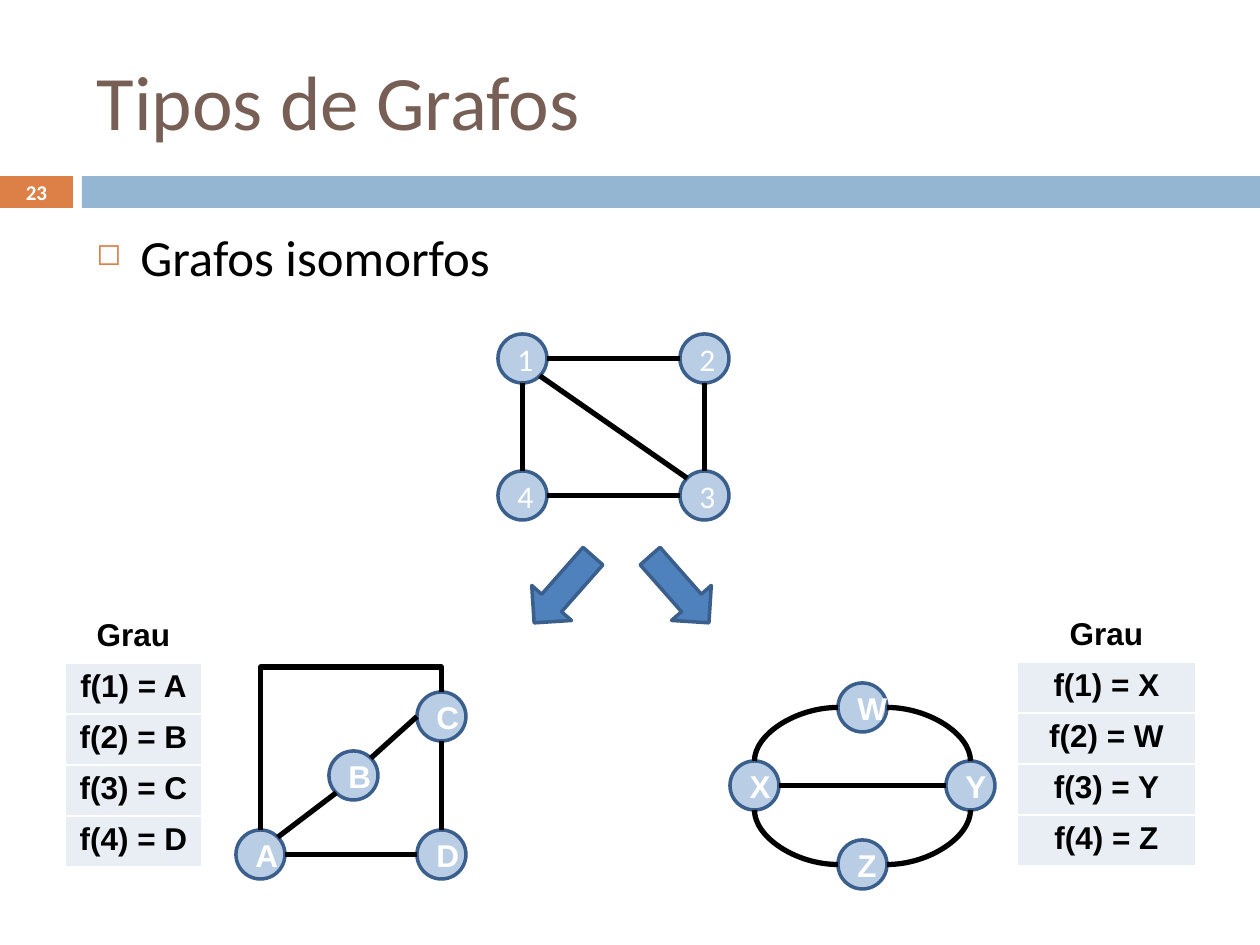
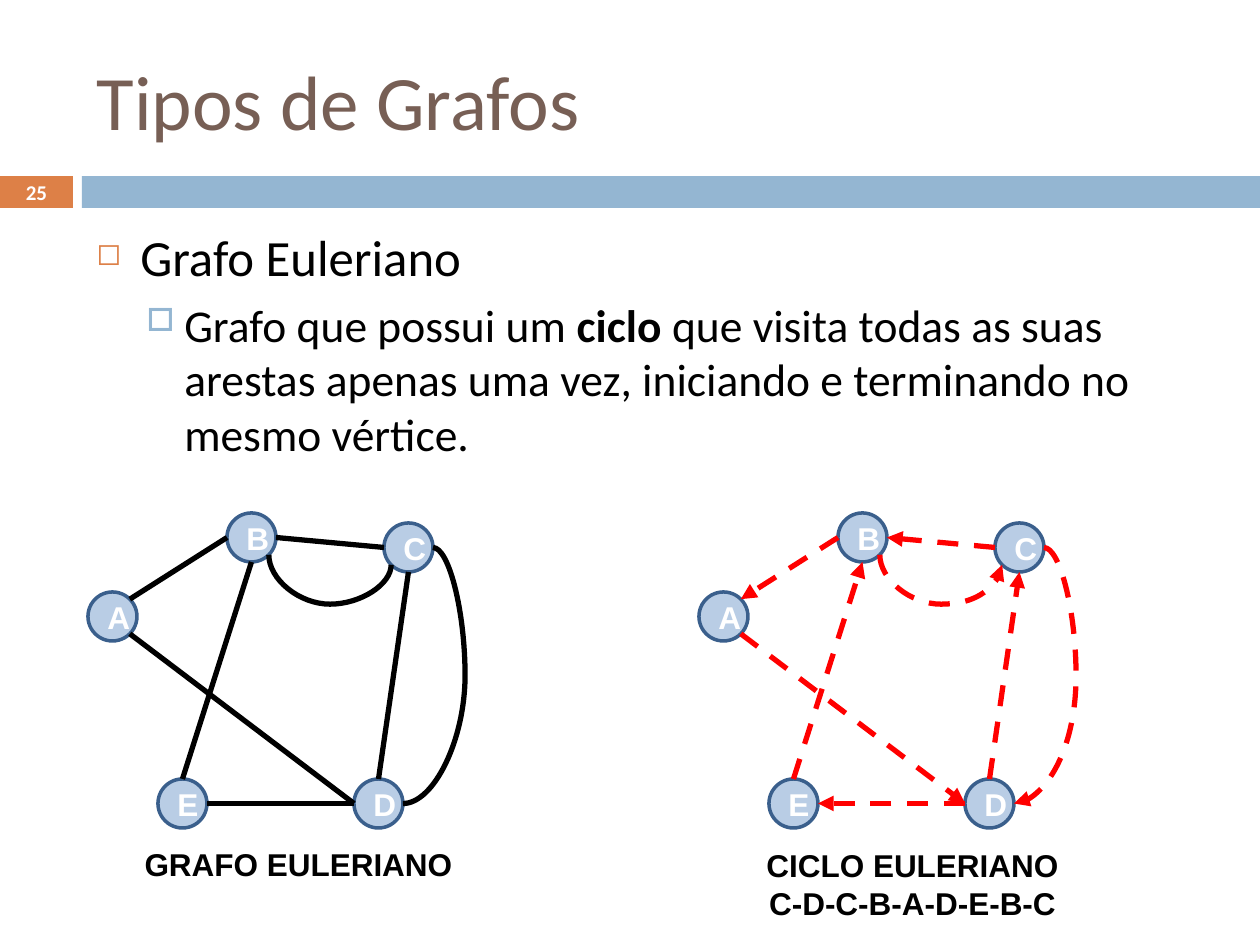
from math import cos, radians, sin

from lxml import etree
from pptx import Presentation
from pptx.dml.color import RGBColor
from pptx.enum.dml import MSO_LINE
from pptx.enum.shapes import MSO_CONNECTOR, MSO_SHAPE
from pptx.enum.text import MSO_ANCHOR, PP_ALIGN
from pptx.oxml.ns import qn
from pptx.util import Pt

EMU_PER_PX = 914400 / 126
SLIDE_SIZE = (1260, 945)
NODE_SIZE = 49

BLACK = RGBColor(0x00, 0x00, 0x00)
WHITE = RGBColor(0xFF, 0xFF, 0xFF)
RED = RGBColor(0xFF, 0x00, 0x00)
BROWN = RGBColor(0x77, 0x5F, 0x55)
ORANGE = RGBColor(0xDD, 0x80, 0x47)
BAND_BLUE = RGBColor(0x94, 0xB6, 0xD2)
NODE_FILL = RGBColor(0xB9, 0xCD, 0xE5)
OUTLINE = RGBColor(0x3A, 0x5F, 0x8C)
ARROW_FILL = RGBColor(0x4F, 0x81, 0xBD)
CELL_FILL = RGBColor(0xE9, 0xED, 0xF4)

HEADING_FONT = "Calibri"
GRAPH_FONT = "Arial"
CENTER, LEFT, MIDDLE = PP_ALIGN.CENTER, PP_ALIGN.LEFT, MSO_ANCHOR.MIDDLE
RECTANGLE, OVAL, RIGHT_ARROW = MSO_SHAPE.RECTANGLE, MSO_SHAPE.OVAL, MSO_SHAPE.RIGHT_ARROW
STRAIGHT, CURVE, ELBOW = MSO_CONNECTOR.STRAIGHT, MSO_CONNECTOR.CURVE, MSO_CONNECTOR.ELBOW
DASH = MSO_LINE.DASH

SITES = ["top", "top left", "left", "bottom left",
         "bottom", "bottom right", "right", "top right"]

BULLETS = [
    {"char": "◻", "color": ORANGE, "percent": 60, "margin": 44, "hanging": 44, "size": 29},
    {"char": "□", "color": BAND_BLUE, "percent": 70, "margin": 88, "hanging": 38, "size": 26},
]

SQUARE_NODES = {"1": (0, 0), "2": (182, 0), "3": (182, 137), "4": (0, 137)}
SQUARE_EDGES = [
    ("1", "right", "2", "left"), ("2", "bottom", "3", "top"),
    ("4", "right", "3", "left"), ("1", "bottom", "4", "top"),
    ("1", "bottom right", "3", "top left"),
]
BENT_NODES = {"A": (0, 138), "B": (93, 59), "C": (181, 0), "D": (181, 138)}
BENT_EDGES = [
    ("A", "top right", "B", "bottom left"), ("B", "top right", "C", "left"),
    ("C", "bottom", "D", "top"), ("A", "right", "D", "left"),
    ("A", "top", "C", "top", ELBOW, "bentConnector3", 1.18, True),
]
OVAL_NODES = {"X": (0, 78), "W": (108, 0), "Y": (216, 78), "Z": (108, 157)}
OVAL_EDGES = [
    ("W", "right", "Y", "top", CURVE, "curvedConnector2"),
    ("Z", "right", "Y", "bottom", CURVE, "curvedConnector2"),
    ("W", "left", "X", "top", CURVE, "curvedConnector2"),
    ("Z", "left", "X", "bottom", CURVE, "curvedConnector2"),
    ("X", "right", "Y", "left"),
]
EULER_NODES = {"A": (0, 79), "B": (139, 0), "C": (296, 10), "D": (266, 266), "E": (70, 266)}
EULER_EDGES = [
    ("B", "left", "A", "top right"), ("D", "left", "E", "right"),
    ("E", "top", "B", "bottom"), ("A", "bottom right", "D", "left"),
    ("D", "top", "C", "bottom"), ("C", "left", "B", "right"),
    ("C", "right", "D", "right", CURVE, "curvedConnector3", -1.07),
    ("B", "bottom right", "C", "bottom left", CURVE, "curvedConnector3", 4.93, True),
]


def px(*lengths):
    """Turn lengths in px into a list of EMU."""
    return [round(length * EMU_PER_PX) for length in lengths]


def add_run(paragraph, text, size, color, font=GRAPH_FONT, bold=False):
    """Add one formatted run to a paragraph."""
    run = paragraph.add_run()
    run.text = text
    run.font.size = Pt(size)
    run.font.name = font
    run.font.bold = bold
    run.font.color.rgb = color


def add_filled_shape(slide, kind, box, fill, outline=None):
    """Add a flat preset shape in the given box."""
    shape = slide.shapes.add_shape(kind, *px(*box))
    shape.shadow.inherit = False
    shape.fill.solid()
    shape.fill.fore_color.rgb = fill
    if outline:
        shape.line.color.rgb = outline
        shape.line.width = Pt(2)
    else:
        shape.line.fill.background()
    return shape


def add_frame(presentation, number):
    """Add a slide with its title, bands and page number."""
    slide = presentation.slides.add_slide(presentation.slide_layouts[5])
    add_filled_shape(slide, RECTANGLE, (82, 176, 1178, 32), BAND_BLUE)
    page_band = add_filled_shape(slide, RECTANGLE, (0, 176, 73, 32), ORANGE)
    page_band.text_frame.vertical_anchor = MIDDLE
    paragraph = page_band.text_frame.paragraphs[0]
    paragraph.alignment = CENTER
    add_run(paragraph, number, 12, WHITE, HEADING_FONT, True)

    title = slide.shapes.title
    title.left, title.top, title.width, title.height = px(84, 32, 1124, 136)
    title.text_frame.vertical_anchor = MIDDLE
    paragraph = title.text_frame.paragraphs[0]
    paragraph.alignment = LEFT
    add_run(paragraph, "Tipos de Grafos", 44, BROWN, HEADING_FONT)
    return slide


def add_bullets(slide, box, items):
    """Add bulleted paragraphs from (level, [(text, bold)]) items."""
    frame = slide.shapes.add_textbox(*px(*box)).text_frame
    frame.word_wrap = True
    for index, (level, runs) in enumerate(items):
        paragraph = frame.add_paragraph() if index else frame.paragraphs[0]
        style = BULLETS[level]
        properties = paragraph._p.get_or_add_pPr()
        margin, hanging = px(style["margin"], style["hanging"])
        properties.set("marL", str(margin))
        properties.set("indent", str(-hanging))
        color = etree.SubElement(properties, qn("a:buClr"))
        etree.SubElement(color, qn("a:srgbClr"), val=str(style["color"]))
        etree.SubElement(properties, qn("a:buSzPct"), val=str(style["percent"] * 1000))
        etree.SubElement(properties, qn("a:buChar"), char=style["char"])
        if index:
            paragraph.space_before = Pt(5.5)
        for text, bold in runs:
            add_run(paragraph, text, style["size"], BLACK, HEADING_FONT, bold)


def add_node(slide, left, top, label, font, bold):
    """Add one labelled vertex."""
    box = (left, top, NODE_SIZE, NODE_SIZE)
    node = add_filled_shape(slide, OVAL, box, NODE_FILL, OUTLINE)
    node.text_frame.vertical_anchor = MIDDLE
    paragraph = node.text_frame.paragraphs[0]
    paragraph.alignment = CENTER
    add_run(paragraph, label, 18, WHITE, font, bold)
    return node


def site_point(node, site):
    """Return the point of a connection site on a vertex."""
    angle = radians(90 + 45 * SITES.index(site))
    radius = node.width / 2
    return (round(node.left + radius + radius * cos(angle)),
            round(node.top + radius - radius * sin(angle)))


def turn_connector(connector):
    """Make a left-to-right connector leave its vertex vertically."""
    left, top, width, height = connector.left, connector.top, connector.width, connector.height
    shift = (width - height) // 2
    connector.left, connector.top = left + shift, top - shift
    connector.width, connector.height = height, width
    transform = connector.element.spPr.find(qn("a:xfrm"))
    upward = transform.get("flipV") in ("1", "true")
    transform.set("rot", str((90 if upward else 270) * 60000))
    transform.set("flipH", "1")


def add_edge(slide, nodes, directed, start, start_site, end, end_site,
             kind=STRAIGHT, preset=None, bend=None, vertical=False):
    """Join two vertices at the given sites."""
    connector = slide.shapes.add_connector(
        kind, *site_point(nodes[start], start_site), *site_point(nodes[end], end_site))
    links = connector.element.find(".//" + qn("p:cNvCxnSpPr"))
    for tag, name, site in (("a:stCxn", start, start_site), ("a:endCxn", end, end_site)):
        etree.SubElement(links, qn(tag), id=str(nodes[name].shape_id),
                         idx=str(SITES.index(site)))
    properties = connector.element.spPr
    if preset:
        geometry = properties.find(qn("a:prstGeom"))
        geometry.set("prst", preset)
        if bend is not None:
            guides = geometry.find(qn("a:avLst"))
            if guides is None:
                guides = etree.SubElement(geometry, qn("a:avLst"))
            etree.SubElement(guides, qn("a:gd"), name="adj1", fmla=f"val {round(bend * 100000)}")
    if vertical:
        turn_connector(connector)
    connector.line.color.rgb = RED if directed else BLACK
    connector.line.width = Pt(3)
    if directed:
        connector.line.dash_style = DASH
        etree.SubElement(properties.find(qn("a:ln")), qn("a:tailEnd"), type="triangle")
    etree.SubElement(properties, qn("a:effectLst"))


def add_graph(slide, left, top, positions, edges, font=GRAPH_FONT, bold=True, directed=False):
    """Add a graph whose vertex positions are relative to its corner."""
    nodes = {label: add_node(slide, left + x, top + y, label, font, bold)
             for label, (x, y) in positions.items()}
    for edge in edges:
        add_edge(slide, nodes, directed, *edge)


def add_degree_table(slide, left, top, width, letters):
    """Add the table that maps numbered vertices to letters."""
    rows = ["Grau"] + [f"f({number}) = {letter}" for number, letter in enumerate(letters, 1)]
    row_height = 51
    box = px(left, top, width, row_height * len(rows))
    table = slide.shapes.add_table(len(rows), 1, *box).table
    table.horz_banding = False
    table.first_row = False
    for index, text in enumerate(rows):
        cell = table.cell(index, 0)
        properties = cell._tc.get_or_add_tcPr()
        for side in ("a:lnL", "a:lnR", "a:lnT", "a:lnB"):
            border = etree.SubElement(properties, qn(side), w=str(Pt(1)))
            fill = etree.SubElement(border, qn("a:solidFill"))
            etree.SubElement(fill, qn("a:srgbClr"), val=str(WHITE))
        cell.fill.solid()
        cell.fill.fore_color.rgb = CELL_FILL if index else WHITE
        paragraph = cell.text_frame.paragraphs[0]
        paragraph.alignment = CENTER
        add_run(paragraph, text, 18, BLACK, bold=True)


def add_caption(slide, box, lines):
    """Add centred bold lines below a graph."""
    frame = slide.shapes.add_textbox(*px(*box)).text_frame
    frame.word_wrap = True
    for index, line in enumerate(lines):
        paragraph = frame.add_paragraph() if index else frame.paragraphs[0]
        paragraph.alignment = CENTER
        add_run(paragraph, line, 18, BLACK, bold=True)


def build_isomorphic_slide(presentation):
    """Build the slide on isomorphic graphs."""
    slide = add_frame(presentation, "23")
    add_bullets(slide, (84, 220, 1124, 80), [(0, [("Grafos isomorfos", False)])])
    add_graph(slide, 498, 334, SQUARE_NODES, SQUARE_EDGES, HEADING_FONT, False)
    add_graph(slide, 236, 692, BENT_NODES, BENT_EDGES)
    add_graph(slide, 730, 683, OVAL_NODES, OVAL_EDGES)
    add_degree_table(slide, 65, 612, 137, "ABCD")
    add_degree_table(slide, 1017, 611, 179, "XWYZ")
    for left, rotation in ((519, 131.4), (635, 48.6)):
        arrow = add_filled_shape(slide, RIGHT_ARROW, (left, 563, 89, 53), ARROW_FILL, OUTLINE)
        arrow.rotation = rotation


def build_eulerian_slide(presentation):
    """Build the slide on Eulerian graphs."""
    slide = add_frame(presentation, "25")
    add_bullets(slide, (84, 220, 1124, 260), [
        (0, [("Grafo Euleriano", False)]),
        (1, [("Grafo que possui um ", False), ("ciclo", True),
             (" que visita todas as suas arestas apenas uma vez, "
              "iniciando e terminando no mesmo vértice.", False)]),
    ])
    add_graph(slide, 88, 513, EULER_NODES, EULER_EDGES)
    add_graph(slide, 699, 513, EULER_NODES, EULER_EDGES, directed=True)
    add_caption(slide, (95, 839, 407, 50), ["GRAFO EULERIANO"])
    add_caption(slide, (709, 840, 407, 90), ["CICLO EULERIANO", "C-D-C-B-A-D-E-B-C"])


def main():
    """Build and save the presentation."""
    presentation = Presentation()
    presentation.slide_width, presentation.slide_height = px(*SLIDE_SIZE)
    build_isomorphic_slide(presentation)
    build_eulerian_slide(presentation)
    presentation.save("out.pptx")


if __name__ == "__main__":
    main()
